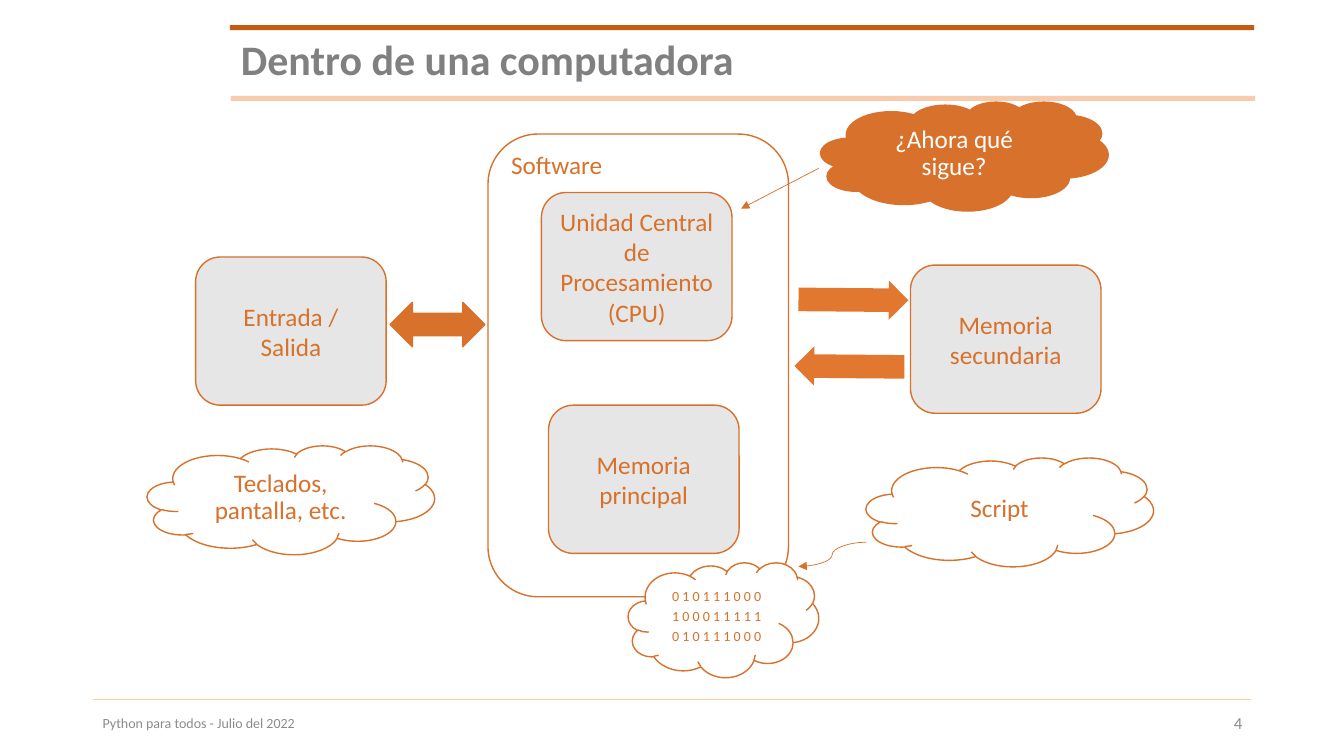
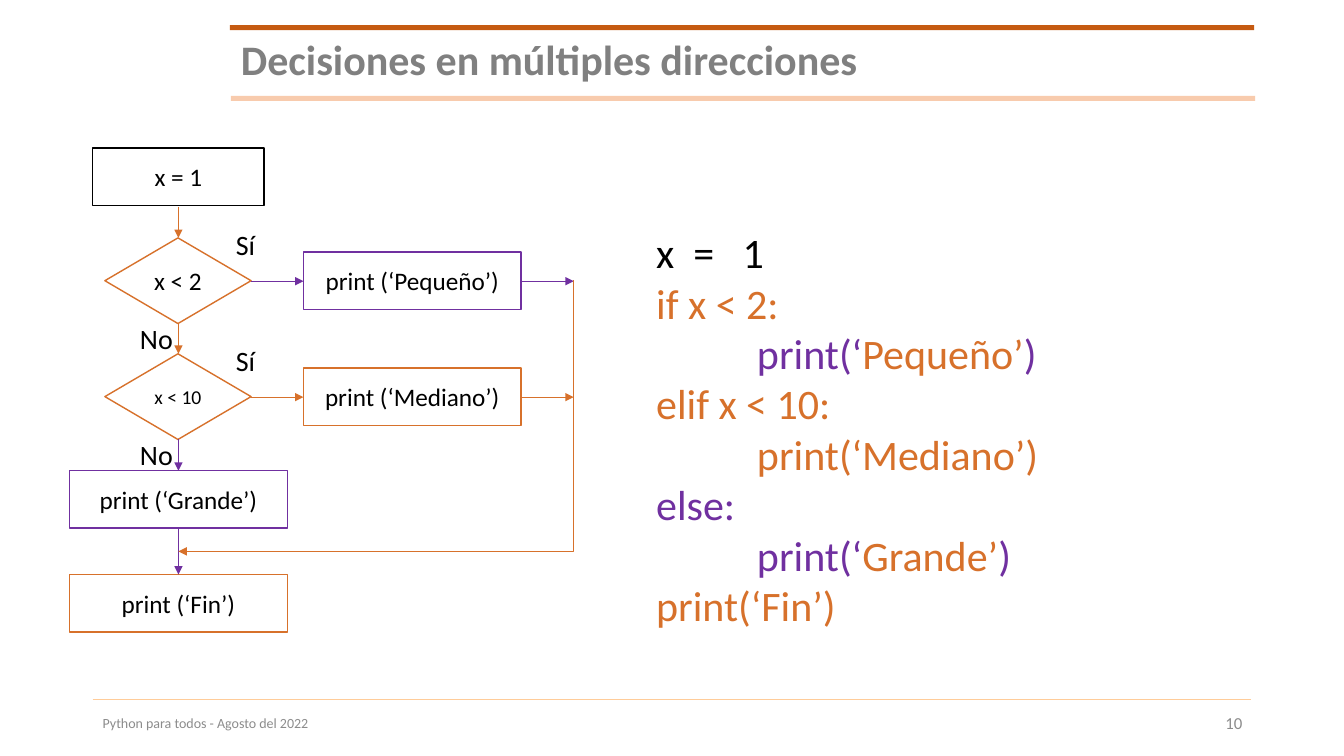
from pptx import Presentation
from pptx import util as u
from pptx.dml.color import RGBColor
from pptx.enum import shapes, text
from pptx.oxml.ns import qn
from lxml import etree

SHAPE = shapes.MSO_SHAPE
LINE = shapes.MSO_CONNECTOR
ALIGN = text.PP_ALIGN
ANCHOR = text.MSO_ANCHOR

ORANGE, PURPLE, BLACK, WHITE = "D7712B", "7030A0", "000000", "FFFFFF"
ARROW, PANEL, GREY, FOOTER = "E2772F", "E7E6E6", "808080", "8C8C8C"
TOP_BAND, LOW_BAND, RULE = "C55A11", "F8CBAD", "FFCC99"


def rgb(value):
    return RGBColor.from_string(value)


class Deck:
    font = "Calibri"

    def __init__(self):
        self.deck = Presentation()
        self.deck.slide_width = u.Inches(13.33)
        self.deck.slide_height = u.Inches(7.5)
        self.page = None

    def add_page(self, title, footer, number):
        self.page = self.deck.slides.add_slide(self.deck.slide_layouts[6])
        self.line((0.92, 6.94), (12.41, 6.94), RULE, head=False)
        self.shape(SHAPE.RECTANGLE, (2.28, 0.25, 10.16, 0.05), TOP_BAND)
        self.shape(SHAPE.RECTANGLE, (2.29, 0.95, 10.16, 0.05), LOW_BAND)
        self.label((2.29, 0.33, 10.12, 0.57), title, 30, GREY,
                   anchor=ANCHOR.MIDDLE, bold=True, spacing=0.9)
        self.label((0.92, 6.98, 8.5, 0.39), footer, 10, FOOTER, anchor=ANCHOR.MIDDLE)
        self.label((9.42, 6.98, 3, 0.39), number, 12, FOOTER,
                   anchor=ANCHOR.MIDDLE, align=ALIGN.RIGHT)

    def set_text(self, box, lines, size, color, align=ALIGN.LEFT, anchor=ANCHOR.TOP,
                 bold=False, spacing=None, after=None):
        frame = box.text_frame
        frame.word_wrap = True
        frame.vertical_anchor = anchor
        for index, line in enumerate(lines):
            para = frame.paragraphs[0] if index == 0 else frame.add_paragraph()
            para.alignment = align
            para.line_spacing = spacing
            para.space_after = after
            para.font.name = self.font
            para.font.size = u.Pt(size)
            para.font.bold = bold
            para.font.color.rgb = rgb(color)
            para.add_run().text = line

    def label(self, at, content, size, color, **style):
        box = self.page.shapes.add_textbox(*map(u.Inches, at))
        self.set_text(box, [content], size, color, **style)

    def listing(self, at, lines, size):
        box = self.page.shapes.add_textbox(*map(u.Inches, at))
        frame = box.text_frame
        frame.word_wrap = True
        for index, (indent, spans) in enumerate(lines):
            para = frame.paragraphs[0] if index == 0 else frame.add_paragraph()
            para.font.name = self.font
            para.font.size = u.Pt(size)
            para._p.get_or_add_pPr().set("marL", str(u.Inches(indent)))
            for content, color in spans:
                span = para.add_run()
                span.text = content
                span.font.color.rgb = rgb(color)

    def shape(self, kind, at, fill, line=None, turn=0):
        box = self.page.shapes.add_shape(kind, *map(u.Inches, at))
        box.shadow.inherit = False
        box.rotation = turn
        box.fill.solid()
        box.fill.fore_color.rgb = rgb(fill)
        if line:
            box.line.color.rgb = rgb(line)
            box.line.width = u.Pt(1)
        else:
            box.line.fill.background()
        return box

    def block(self, kind, at, content, fill=WHITE, line=ORANGE, color=BLACK, size=18):
        box = self.shape(kind, at, fill, line)
        self.set_text(box, [content], size, color, ALIGN.CENTER, ANCHOR.MIDDLE)

    def cloud(self, at, lines, fill=WHITE, color=ORANGE, size=18):
        box = self.shape(SHAPE.CLOUD, at, fill, ORANGE)
        self.set_text(box, lines, size, color, ALIGN.CENTER, ANCHOR.MIDDLE,
                      spacing=0.9, after=u.Pt(0.35 * size))

    def line(self, start, end, color, kind=LINE.STRAIGHT, head=True, bend=None):
        link = self.page.shapes.add_connector(kind, *map(u.Inches, start + end))
        link.line.color.rgb = rgb(color)
        link.line.width = u.Pt(0.5)
        properties = link._element.spPr
        if head:
            outline = properties.find(qn("a:ln"))
            etree.SubElement(outline, qn("a:tailEnd"), type="triangle")
        etree.SubElement(properties, qn("a:effectLst"))
        if bend is not None:
            guides = properties.find(qn("a:prstGeom")).find(qn("a:avLst"))
            etree.SubElement(guides, qn("a:gd"), name="adj1", fmla=f"val {bend}")


def build_computer(deck):
    deck.add_page("Dentro de una computadora", "Python para todos - Julio del 2022", "4")
    deck.cloud((8.14, 1.01, 2.85, 1.08), ["¿Ahora qué sigue?"], ORANGE, WHITE)
    deck.cloud((1.46, 4.42, 2.85, 1.08), ["Teclados, pantalla, etc."])
    deck.shape(SHAPE.ROUNDED_RECTANGLE, (4.84, 1.33, 2.98, 4.59), WHITE, ORANGE)
    for left, top, name in [
        (5.37, 1.91, "Unidad Central de Procesamiento (CPU)"),
        (5.44, 4.02, "Memoria principal"),
        (1.94, 2.55, "Entrada / Salida"),
        (9.03, 2.63, "Memoria secundaria"),
    ]:
        deck.block(SHAPE.ROUNDED_RECTANGLE, (left, top, 1.89, 1.47), name, PANEL, color=ORANGE)
    deck.line((8.12, 1.67), (7.35, 2.07), ORANGE)
    for left, top, turn in [(7.92, 2.78, 0.5), (7.88, 3.44, 180.5)]:
        arrow = deck.shape(SHAPE.RIGHT_ARROW, (left, top, 1.09, 0.39), ARROW, turn=turn)
        arrow.adjustments[0] = 0.6
    deck.shape(SHAPE.LEFT_RIGHT_ARROW, (3.87, 3, 0.94, 0.44), ORANGE, ORANGE)
    deck.label((4.97, 1.43, 1.65, 0.4), "Software", 18, ORANGE)
    deck.cloud((8.59, 4.54, 2.85, 1.08), ["Script"])
    bits = "0 1 0 1 1 1 0 0 0"
    deck.cloud((6.23, 5.58, 1.89, 1.14), [bits, "1 0 0 0 1 1 1 1 1", bits], size=10)
    deck.line((8.59, 5.38), (7.92, 5.62), ORANGE, LINE.CURVE)


def build_decisions(deck):
    deck.add_page("Decisiones en múltiples direcciones",
                  "Python para todos - Agosto del 2022", "10")
    axis, merge = 1.77, 5.69
    deck.block(SHAPE.RECTANGLE, (0.92, 1.47, 1.7, 0.57), "x = 1", line=BLACK)
    for top, test, size, word, color in [
        (2.36, "x < 2", 18, "Pequeño", PURPLE),
        (3.51, "x < 10", 14, "Mediano", ORANGE),
    ]:
        middle = top + 0.43
        deck.block(SHAPE.FLOWCHART_DECISION, (1.04, top, 1.45, 0.85), test, size=size)
        deck.block(SHAPE.RECTANGLE, (3.01, middle - 0.29, 2.16, 0.57),
                   f"print (‘{word}’)", line=color)
        deck.line((2.49, middle), (3.01, middle), color)
        deck.line((5.17, middle), (merge, middle), color)
        deck.label((2.24, top - 0.15, 0.6, 0.44), "Sí", 20, BLACK)
        deck.label((1.29, top + 0.78, 0.6, 0.44), "No", 20, BLACK)
    for top, word, color in [(4.67, "Grande", PURPLE), (5.7, "Fin", ORANGE)]:
        deck.block(SHAPE.RECTANGLE, (0.69, top, 2.16, 0.57), f"print (‘{word}’)", line=color)
    for top, bottom, color in [
        (2.05, 2.36, ORANGE), (3.2, 3.51, ORANGE),
        (4.36, 4.67, PURPLE), (5.24, 5.7, PURPLE),
    ]:
        deck.line((axis, top), (axis, bottom), color)
    deck.line((merge, 2.78), (axis, 5.47), ORANGE, LINE.ELBOW, bend=100)
    deck.listing((6.41, 2.2, 6.3, 4.14), [
        (0, [("x  =   1", BLACK)]),
        (0, [("if x < 2:", ORANGE)]),
        (1, [("print(‘", PURPLE), ("Pequeño’", ORANGE), (")", PURPLE)]),
        (0, [("elif x < 10:", ORANGE)]),
        (1, [("print(‘Mediano’)", ORANGE)]),
        (0, [("else:", PURPLE)]),
        (1, [("print(‘", PURPLE), ("Grande’", ORANGE), (")", PURPLE)]),
        (0, [("print(‘Fin’)", ORANGE)]),
    ], 30)


deck = Deck()
build_computer(deck)
build_decisions(deck)
deck.deck.save("out.pptx")
